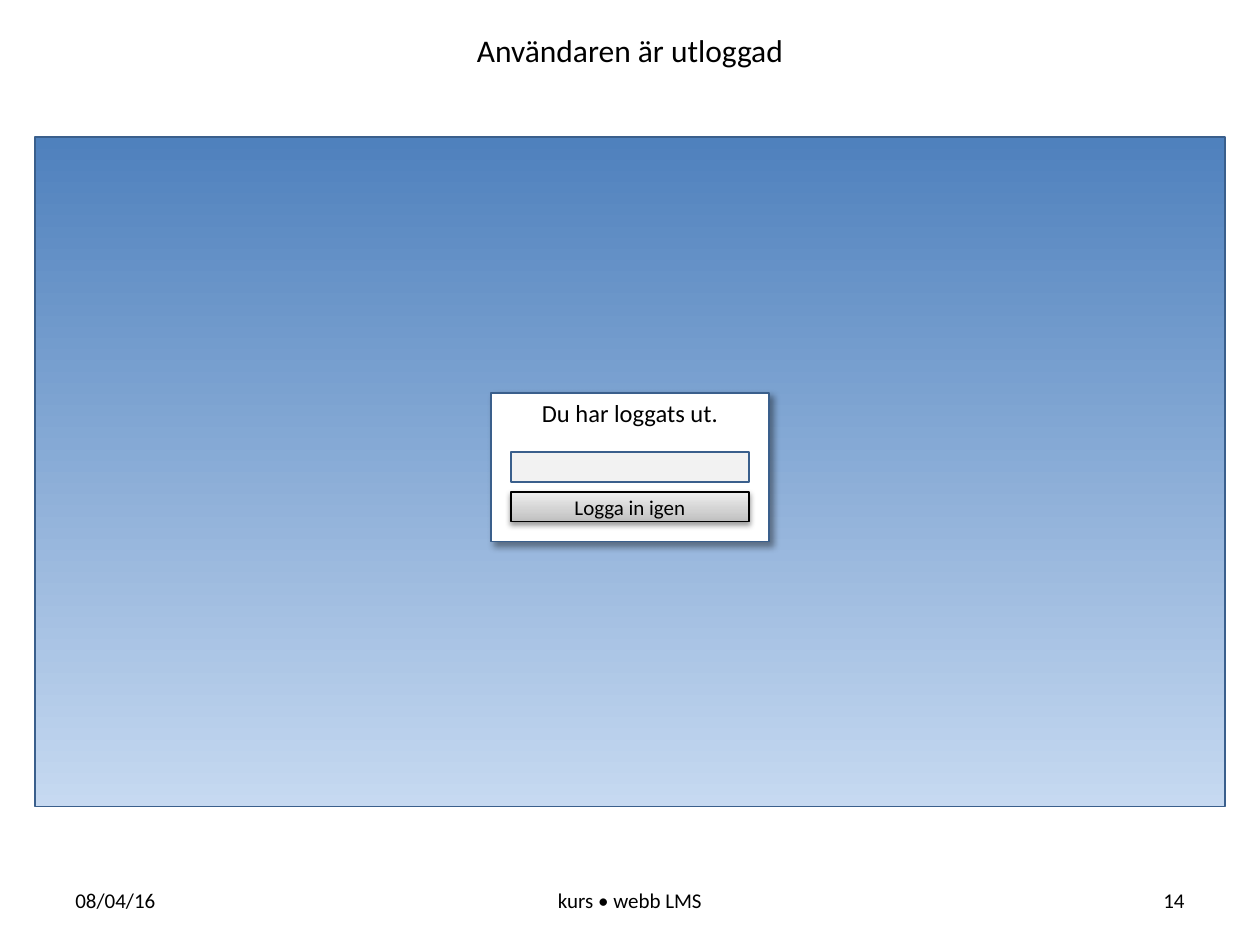
from dataclasses import dataclass
from typing import Optional

from lxml import etree
from pptx import Presentation
from pptx.dml.color import RGBColor
from pptx.enum.shapes import MSO_SHAPE
from pptx.enum.text import MSO_ANCHOR, PP_ALIGN
from pptx.oxml.ns import qn
from pptx.util import Cm, Pt

RECTANGLE = MSO_SHAPE.RECTANGLE
TOP, MIDDLE = MSO_ANCHOR.TOP, MSO_ANCHOR.MIDDLE
LEFT, CENTER, RIGHT = PP_ALIGN.LEFT, PP_ALIGN.CENTER, PP_ALIGN.RIGHT

COLOURS = {
    "black": "000000",
    "white": "FFFFFF",
    "outline": "3A5F8C",
    "field": "F2F2F2",
    "sky_top": "4F81BD",
    "sky_bottom": "C6D9F1",
    "button_low": "BDBDBD",
    "button_mid": "D1D1D1",
    "button_high": "EEEEEE",
}
SLIDE_WIDTH, SLIDE_HEIGHT = 25.4, 19.05
FOOTER_TOP, FOOTER_HEIGHT, FOOTER_MARGIN = 17.65, 1.01, 1.27
DATE_WIDTH, COURSE_WIDTH = 5.93, 8.05
DIALOG_TOP, CONTROL_TOP = 7.92, 9.12
CONTROL_HEIGHT, CONTROL_GAP = 0.6, 0.2


@dataclass
class Label:
    text: str
    size: float
    align: PP_ALIGN = CENTER
    anchor: MSO_ANCHOR = MIDDLE


@dataclass
class Shadow:
    opacity: int
    blur: float
    distance: float
    angle: int


@dataclass
class Gradient:
    stops: dict[int, str]
    angle: int


@dataclass
class Panel:
    top: float
    width: float
    height: float
    fill: str | Gradient
    line: str = "outline"
    line_width: float = 1
    shadow: Optional[Shadow] = None
    label: Optional[Label] = None


@dataclass
class Caption:
    left: float
    top: float
    width: float
    height: float
    label: Label


def centred(width: float) -> float:
    """Return the left edge that centres a width on the slide."""
    return (SLIDE_WIDTH - width) / 2


def rgb(name: str) -> RGBColor:
    """Look up a named colour."""
    return RGBColor.from_string(COLOURS[name])


def add_colour(parent, name: str):
    """Append an RGB colour element."""
    return etree.SubElement(parent, qn("a:srgbClr"), val=COLOURS[name])


def write_label(shape, label: Label) -> None:
    """Write one formatted paragraph into a shape."""
    frame = shape.text_frame
    frame_format = {
        "word_wrap": True,
        "vertical_anchor": label.anchor,
        "margin_top": Cm(0.1),
        "margin_bottom": Cm(0.1),
    }
    for attribute, value in frame_format.items():
        setattr(frame, attribute, value)
    paragraph = frame.paragraphs[0]
    paragraph.alignment = label.align
    run = paragraph.add_run()
    run.text = label.text
    for attribute, value in {"name": "Calibri", "size": Pt(label.size)}.items():
        setattr(run.font, attribute, value)
    run.font.color.rgb = rgb("black")


def fill_gradient(shape, gradient: Gradient) -> None:
    """Fill a shape with a linear gradient of any number of stops."""
    shape.fill.gradient()
    shape.fill.gradient_angle = -gradient.angle % 360
    stop_list = shape._element.spPr.find(qn("a:gradFill")).find(qn("a:gsLst"))
    for default_stop in list(stop_list):
        stop_list.remove(default_stop)
    for position, name in gradient.stops.items():
        stop = etree.SubElement(stop_list, qn("a:gs"), pos=str(position * 1000))
        add_colour(stop, name)


def cast_shadow(shape, shadow: Shadow) -> None:
    """Add an outer shadow to a shape."""
    effects = shape._element.spPr.find(qn("a:effectLst"))
    outer = etree.SubElement(
        effects,
        qn("a:outerShdw"),
        blurRad=str(Pt(shadow.blur)),
        dist=str(Pt(shadow.distance)),
        dir=str(shadow.angle * 60000),
        algn="tl",
        rotWithShape="0",
    )
    colour = add_colour(outer, "black")
    etree.SubElement(colour, qn("a:alpha"), val=str(shadow.opacity * 1000))


def draw_panel(slide, panel: Panel) -> None:
    """Draw a horizontally centred rectangle."""
    bounds = (centred(panel.width), panel.top, panel.width, panel.height)
    shape = slide.shapes.add_shape(RECTANGLE, *map(Cm, bounds))
    shape.shadow.inherit = False
    if isinstance(panel.fill, Gradient):
        fill_gradient(shape, panel.fill)
    else:
        shape.fill.solid()
        shape.fill.fore_color.rgb = rgb(panel.fill)
    shape.line.color.rgb = rgb(panel.line)
    shape.line.width = Pt(panel.line_width)
    if panel.shadow:
        cast_shadow(shape, panel.shadow)
    if panel.label:
        write_label(shape, panel.label)


def draw_caption(slide, caption: Caption) -> None:
    """Draw a free-standing text box."""
    bounds = (caption.left, caption.top, caption.width, caption.height)
    write_label(slide.shapes.add_textbox(*map(Cm, bounds)), caption.label)


def footer(left: float, width: float, text: str, align: PP_ALIGN) -> Caption:
    """Describe one part of the footer."""
    return Caption(left, FOOTER_TOP, width, FOOTER_HEIGHT, Label(text, 12, align))


def main() -> None:
    """Build the logged-out slide."""
    captions = [
        footer(SLIDE_WIDTH - FOOTER_MARGIN - DATE_WIDTH, DATE_WIDTH, "14", RIGHT),
        footer(centred(COURSE_WIDTH), COURSE_WIDTH, "kurs • webb LMS", CENTER),
        footer(FOOTER_MARGIN, DATE_WIDTH, "08/04/16", LEFT),
        Caption(0, 0.53, SLIDE_WIDTH, 1.02,
                Label("Användaren är utloggad", 18, anchor=TOP)),
    ]
    sky = Gradient({0: "sky_top", 100: "sky_bottom"}, 90)
    metal = Gradient({0: "button_low", 35: "button_mid", 100: "button_high"}, 270)
    panels = [
        Panel(2.77, 24, 13.49, sky),
        Panel(DIALOG_TOP, 5.6, 3, "white", shadow=Shadow(40, 4, 3, 45),
              label=Label("Du har loggats ut.", 14, anchor=TOP)),
        Panel(CONTROL_TOP, 4.8, CONTROL_HEIGHT, "field"),
        Panel(CONTROL_TOP + CONTROL_HEIGHT + CONTROL_GAP, 4.8, CONTROL_HEIGHT,
              metal, "black", 0.75, Shadow(38, 3.1, 1.6, 90),
              Label("Logga in igen", 12)),
    ]
    presentation = Presentation()
    presentation.slide_width = Cm(SLIDE_WIDTH)
    presentation.slide_height = Cm(SLIDE_HEIGHT)
    slide = presentation.slides.add_slide(presentation.slide_layouts[6])
    for caption in captions:
        draw_caption(slide, caption)
    for panel in panels:
        draw_panel(slide, panel)
    presentation.save("out.pptx")


if __name__ == "__main__":
    main()
